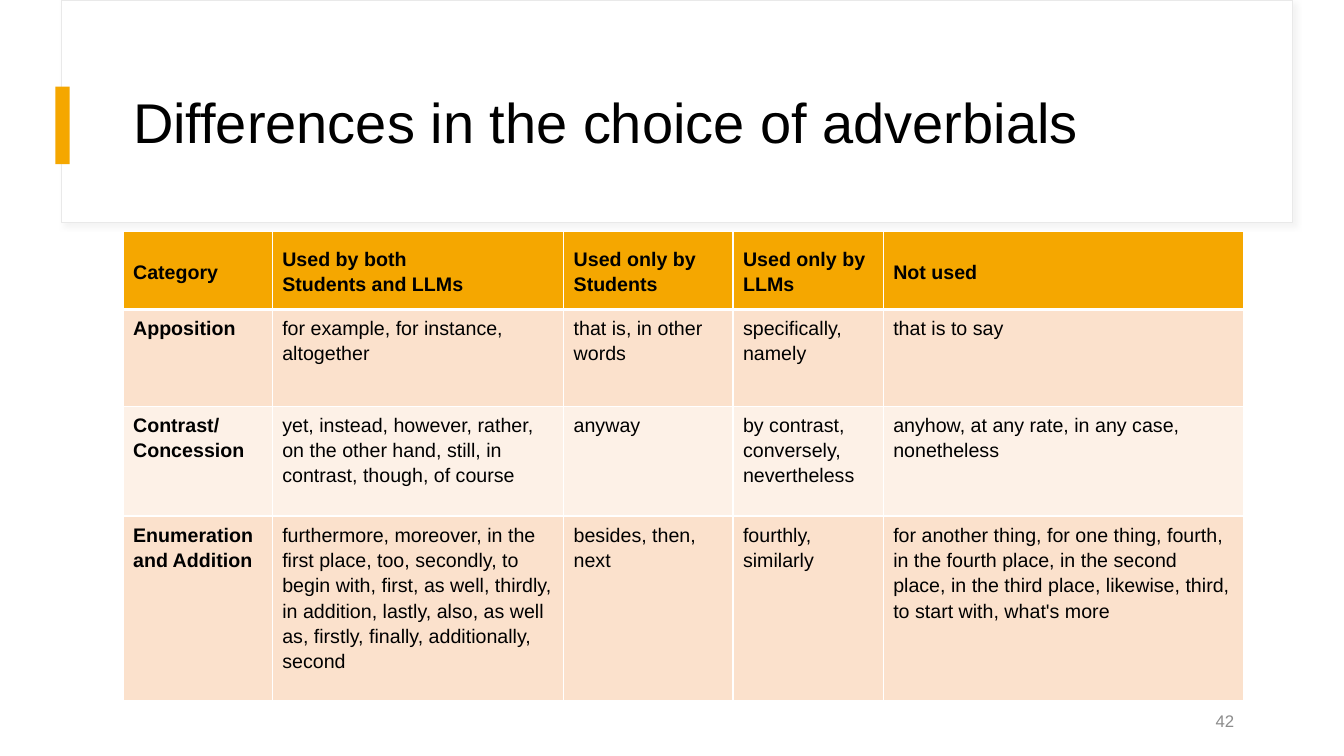
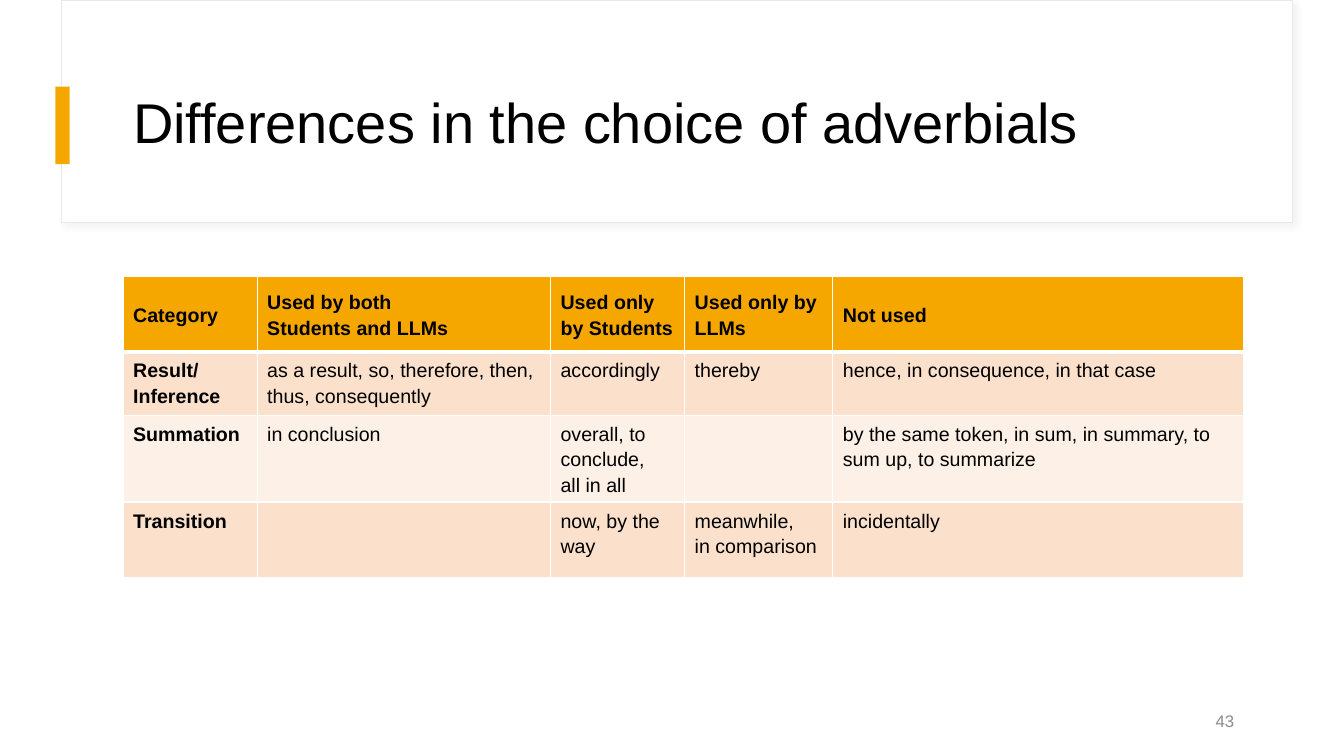
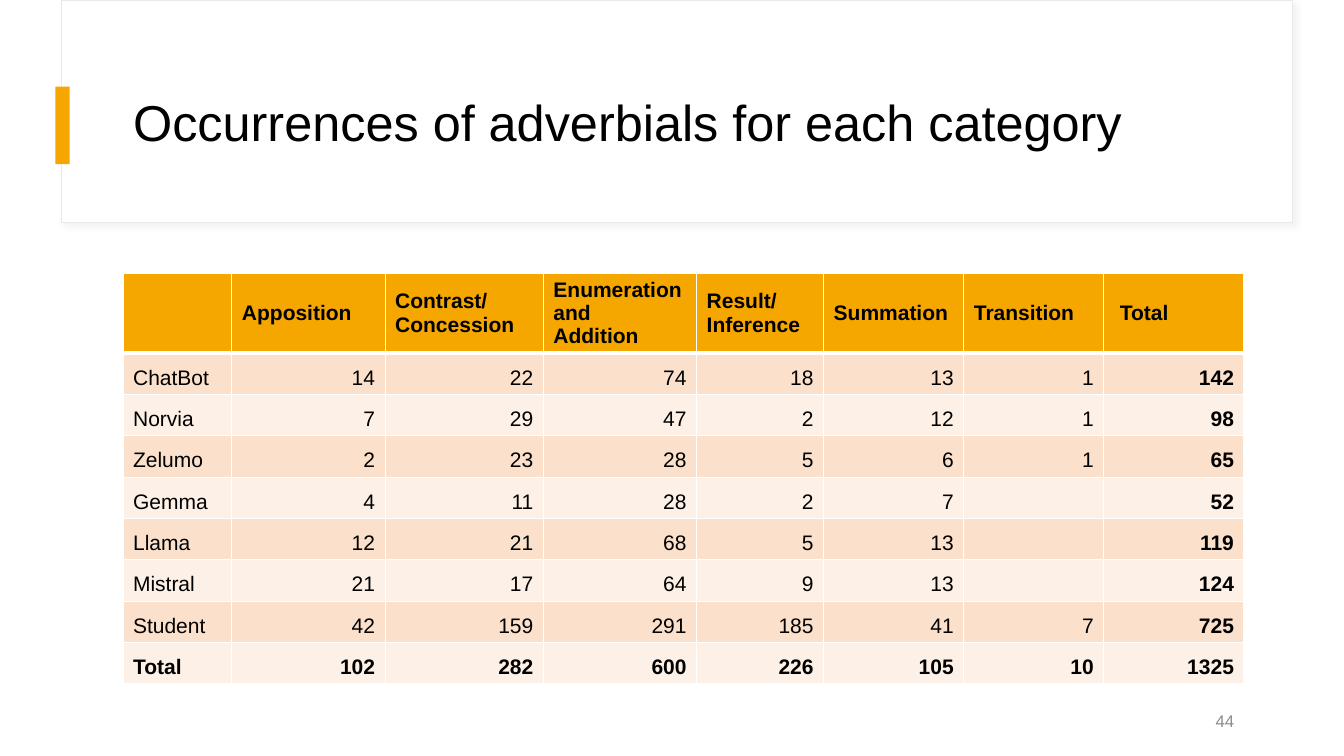
import dataclasses
import typing

import lxml.etree
import pptx
import pptx.dml.color
import pptx.enum.shapes
import pptx.enum.text
import pptx.oxml
import pptx.oxml.ns
import pptx.util

EMU_PER_PX = 9144  # 100 px to the inch
Align = pptx.enum.text.PP_ALIGN
Anchor = pptx.enum.text.MSO_ANCHOR


@dataclasses.dataclass(frozen=True)
class Theme:
    font: str = "Arial"
    text: str = "000000"
    paper: str = "FFFFFF"
    accent: str = "F5A700"
    frame_line: str = "E9E9E9"
    shadow: str = "D9D9D9"
    muted: str = "8C8C8C"
    bands: tuple[str, str] = ("FBE1CC", "FDF1E7")
    number_size: int = 12
    rule: int = 1
    header_rule: int = 3


@dataclasses.dataclass(frozen=True)
class Box:
    left: int
    top: int
    width: int
    height: int

    def emu(self) -> tuple[int, int, int, int]:
        return px(self.left), px(self.top), px(self.width), px(self.height)


@dataclasses.dataclass(frozen=True)
class GridStyle:
    size: int
    body_anchor: typing.Any
    body_align: typing.Any
    paragraph: dict[str, typing.Any]
    bold_first_column: bool = False
    bold_totals: bool = False


@dataclasses.dataclass(frozen=True)
class Page:
    number: int
    title: str
    title_size: int
    table_top: int
    columns: list[int]
    heights: list[int]
    rows: list[list[str]]
    grid: GridStyle


THEME = Theme()
SLIDE = (1333, 750)
FRAME = Box(61, 0, 1221, 221)
TITLE_MARK = Box(55, 86, 14, 77)
TITLE = Box(122, 60, 1112, 129)
PAGE_NUMBER = Box(934, 695, 300, 40)

ADVERBIALS = GridStyle(14, Anchor.TOP, Align.LEFT,
                       {"line_spacing": 1.15, "space_after": pptx.util.Pt(8)},
                       bold_first_column=True)
COUNTS = GridStyle(15, Anchor.BOTTOM, Align.RIGHT, {}, bold_totals=True)

ADVERBIAL_TITLE = "Differences in the choice of adverbials"
ADVERBIAL_HEADER = ["Category", "Used by both \nStudents and LLMs", "Used only by Students",
                    "Used only by LLMs", "Not used"]
COUNT_HEADER = ["", "Apposition", "Contrast/\nConcession", "Enumeration and\nAddition",
                "Result/\nInference", "Summation", "Transition", " Total"]
OCCURRENCES = {
    "ChatBot": [14, 22, 74, 18, 13, 1],
    "Norvia": [7, 29, 47, 2, 12, 1],
    "Zelumo": [2, 23, 28, 5, 6, 1],
    "Gemma": [4, 11, 28, 2, 7, 0],
    "Llama": [12, 21, 68, 5, 13, 0],
    "Mistral": [21, 17, 64, 9, 13, 0],
    "Student": [42, 159, 291, 185, 41, 7],
}


def px(length: int) -> int:
    return length * EMU_PER_PX


def rgb(colour: str) -> pptx.dml.color.RGBColor:
    return pptx.dml.color.RGBColor.from_string(colour)


def assign(target: typing.Any, values: dict[str, typing.Any]) -> None:
    for attribute, value in values.items():
        setattr(target, attribute, value)


def write(frame: typing.Any, text: str, size: int, colour: str = THEME.text,
          bold: bool = False, **paragraph_format: typing.Any) -> None:
    """Put one formatted paragraph in the frame; a newline is a line break."""
    paragraph = frame.paragraphs[0]
    paragraph.text = text
    assign(paragraph, paragraph_format)
    for run in paragraph.runs:
        assign(run.font, {"name": THEME.font, "size": pptx.util.Pt(size), "bold": bold})
        run.font.color.rgb = rgb(colour)


def count_rows() -> list[list[str]]:
    """Occurrences with row and column totals; zero shows as an empty cell."""
    sums = [sum(column) for column in zip(*OCCURRENCES.values())]
    body = {**OCCURRENCES, "Total": sums}
    return [COUNT_HEADER] + [
        [writer] + [str(count) if count else "" for count in [*counts, sum(counts)]]
        for writer, counts in body.items()]


def add_block(slide: typing.Any, box: Box, fill: str) -> typing.Any:
    """Add a borderless rectangle behind the title."""
    block = slide.shapes.add_shape(pptx.enum.shapes.MSO_SHAPE.RECTANGLE, *box.emu())
    block.shadow.inherit = False
    block.fill.solid()
    block.fill.fore_color.rgb = rgb(fill)
    block.line.fill.background()
    slide.shapes.title.element.addprevious(block.element)
    return block


def add_soft_shadow(shape: typing.Any) -> None:
    effects = shape.element.spPr.find(pptx.oxml.ns.qn("a:effectLst"))
    effects.append(pptx.oxml.parse_xml(
        f'<a:outerShdw {pptx.oxml.ns.nsdecls("a")} blurRad="50800" dist="38100" dir="2700000" '
        f'algn="tl" rotWithShape="0"><a:srgbClr val="{THEME.shadow}">'
        '<a:alpha val="30000"/></a:srgbClr></a:outerShdw>'))


def add_heading(slide: typing.Any, page: Page) -> None:
    frame = add_block(slide, FRAME, THEME.paper)
    frame.line.color.rgb = rgb(THEME.frame_line)
    frame.line.width = pptx.util.Pt(0.75)
    add_soft_shadow(frame)
    add_block(slide, TITLE_MARK, THEME.accent)

    title = slide.shapes.title
    assign(title, dict(zip(("left", "top", "width", "height"), TITLE.emu())))
    assign(title.text_frame, {"vertical_anchor": Anchor.MIDDLE, "word_wrap": True,
                              "auto_size": pptx.enum.text.MSO_AUTO_SIZE.NONE})
    write(title.text_frame, page.title, page.title_size, alignment=Align.LEFT, line_spacing=0.9)


def add_page_number(slide: typing.Any, number: int) -> None:
    frame = slide.shapes.add_textbox(*PAGE_NUMBER.emu()).text_frame
    assign(frame, {"word_wrap": True, "vertical_anchor": Anchor.MIDDLE})
    write(frame, str(number), THEME.number_size, THEME.muted, alignment=Align.RIGHT)


def rule_cell(cell: typing.Any, row: int) -> None:
    """Draw the cell borders, with a heavier rule between header and body."""
    widths = {"lnL": THEME.rule, "lnR": THEME.rule,
              "lnT": THEME.header_rule if row == 1 else THEME.rule,
              "lnB": THEME.header_rule if row == 0 else THEME.rule}
    properties = cell._tc.get_or_add_tcPr()
    for side, width in widths.items():
        line = lxml.etree.SubElement(properties, pptx.oxml.ns.qn(f"a:{side}"),
                                     w=str(pptx.util.Pt(width)))
        fill = lxml.etree.SubElement(line, pptx.oxml.ns.qn("a:solidFill"))
        lxml.etree.SubElement(fill, pptx.oxml.ns.qn("a:srgbClr"), val=THEME.paper)


def add_grid(slide: typing.Any, page: Page) -> None:
    box = Box(TITLE.left, page.table_top, sum(page.columns), sum(page.heights))
    table = slide.shapes.add_table(len(page.rows), len(page.columns), *box.emu()).table
    table.horz_banding = False
    for column, width in zip(table.columns, page.columns):
        column.width = px(width)
    for row, height in zip(table.rows, page.heights):
        row.height = px(height)

    grid = page.grid
    last_row, last_column = len(page.rows) - 1, len(page.columns) - 1
    for r, texts in enumerate(page.rows):
        for c, text in enumerate(texts):
            cell = table.cell(r, c)
            header = r == 0
            rule_cell(cell, r)
            cell.fill.solid()
            cell.fill.fore_color.rgb = rgb(THEME.accent if header else THEME.bands[(r - 1) % 2])
            cell.vertical_anchor = Anchor.MIDDLE if header else grid.body_anchor
            bold = (header or (grid.bold_first_column and c == 0)
                    or (grid.bold_totals and (r == last_row or c == last_column)))
            align = Align.LEFT if header or c == 0 else grid.body_align
            write(cell.text_frame, text, grid.size, bold=bold, alignment=align, **grid.paragraph)


PAGES = [
    Page(42, ADVERBIAL_TITLE, 40, 230, [148, 289, 168, 149, 357], [77, 96, 109, 183], [
        ADVERBIAL_HEADER,
        ["Apposition", "for example, for instance, altogether", "that is, in other words",
         "specifically, namely", "that is to say"],
        ["Contrast/\nConcession",
         "yet, instead, however, rather, on the other hand, still, in contrast, though, of course",
         "anyway", "by contrast, conversely, nevertheless",
         "anyhow, at any rate, in any case, nonetheless"],
        ["Enumeration and Addition",
         "furthermore, moreover, in the first place, too, secondly, to begin with, first, "
         "as well, thirdly, in addition, lastly, also, as well as, firstly, finally, "
         "additionally, second",
         "besides, then, next", "fourthly, similarly",
         "for another thing, for one thing, fourth, in the fourth place, in the second place, "
         "in the third place, likewise, third, to start with, what's more"],
    ], ADVERBIALS),
    Page(43, ADVERBIAL_TITLE, 40, 274, [133, 291, 133, 147, 407], [75, 63, 86, 75], [
        ADVERBIAL_HEADER,
        ["Result/\nInference", "as a result, so, therefore, then, thus, consequently",
         "accordingly", "thereby", "hence, in consequence, in that case"],
        ["Summation", "in conclusion", "overall, to conclude, \nall in all", "",
         "by the same token, in sum, in summary, to sum up, to summarize"],
        ["Transition", "", "now, by the way", "meanwhile,\nin comparison", "incidentally"],
    ], ADVERBIALS),
    Page(44, "Occurrences of adverbials for each category", 36, 271,
         [108, 152, 157, 152, 126, 139, 139, 139], [79] + [41] * 8, count_rows(), COUNTS),
]


def main() -> None:
    deck = pptx.Presentation()
    deck.slide_width, deck.slide_height = map(px, SLIDE)
    title_only = deck.slide_layouts[5]
    for page in PAGES:
        slide = deck.slides.add_slide(title_only)
        add_heading(slide, page)
        add_grid(slide, page)
        add_page_number(slide, page.number)
    deck.save("out.pptx")


if __name__ == "__main__":
    main()
